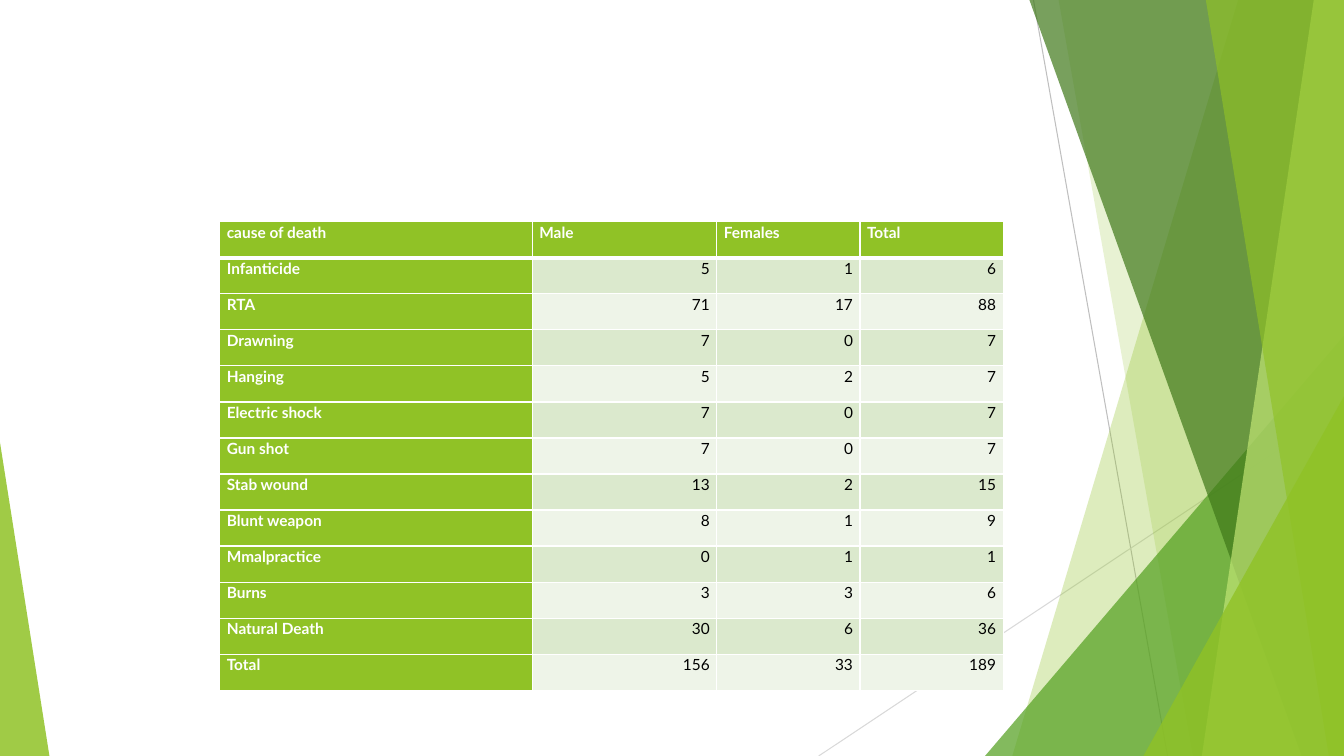
from dataclasses import dataclass
from lxml.etree import SubElement
from pptx import Presentation
from pptx.dml.color import RGBColor
from pptx.enum.shapes import MSO_CONNECTOR, MSO_SHAPE
from pptx.enum.text import MSO_ANCHOR, PP_ALIGN
from pptx.oxml.ns import qn
from pptx.util import Inches, Pt


@dataclass(frozen=True)
class Theme:
    font: str = "Lato"
    size: float = 11
    lime: str = "90C226"
    green: str = "54A021"
    forest: str = "3F7819"
    pale: str = "C0E474"
    white: str = "FFFFFF"
    black: str = "000000"
    grey: str = "BFBFBF"
    light_grey: str = "D9D9D9"
    bands: tuple = ("DBE9CD", "EEF4E8")


@dataclass(frozen=True)
class Box:
    left: float
    top: float
    width: float
    height: float

    @property
    def right(self):
        return self.left + self.width

    @property
    def bottom(self):
        return self.top + self.height


THEME = Theme()
SLIDE = Box(0, 0, 13.33, 7.5)
TABLE = Box(2.18, 2.2, 7.77, 4.65)
COLUMN_WIDTHS = (3.1, 1.83, 1.42, 1.42)
DEATHS = [
    ("cause of death", "Male", "Females", "Total"),
    ("Infanticide", 5, 1, 6),
    ("RTA", 71, 17, 88),
    ("Drawning", 7, 0, 7),
    ("Hanging", 5, 2, 7),
    ("Electric shock", 7, 0, 7),
    ("Gun shot", 7, 0, 7),
    ("Stab wound", 13, 2, 15),
    ("Blunt weapon", 8, 1, 9),
    ("Mmalpractice", 0, 1, 1),
    ("Burns", 3, 3, 6),
    ("Natural Death", 30, 6, 36),
    ("Total", 156, 33, 189),
]
# Insets from the right edge at top and bottom, colour, opacity
BACK_FACETS = [(1.05, 3.29, THEME.lime, 30), (2.83, 1.5, THEME.lime, 20)]
FRONT_FACETS = [(3.12, 0.42, THEME.forest, 70), (0.3, 1.41, THEME.pale, 70),
                (1.37, 0.15, THEME.lime, 65)]


def set_all(obj, values):
    for name, value in values.items():
        setattr(obj, name, value)


def paint(sp, color, opacity):
    sp.shadow.inherit = False
    sp.line.fill.background()
    sp.fill.solid()
    sp.fill.fore_color.rgb = RGBColor.from_string(color)
    clr = sp.fill._xPr.find(qn("a:solidFill"))[0]
    SubElement(clr, qn("a:alpha"), val=str(opacity * 1000))


def add_line(slide, start, end, color):
    line = slide.shapes.add_connector(
        MSO_CONNECTOR.STRAIGHT, *(Inches(v) for v in start + end))
    line.line.width = Pt(0.75)
    line.line.color.rgb = RGBColor.from_string(color)
    SubElement(line._element.spPr, qn("a:effectLst"))


def add_facet(slide, box, top_inset, bottom_inset, color, opacity):
    """Draw a full-height band between a slanted edge and the box's right edge."""
    corners = [(box.right - top_inset, box.top), (box.right, box.top),
               (box.right, box.bottom), (box.right - bottom_inset, box.bottom)]
    points = [(Inches(x), Inches(y)) for x, y in corners]
    builder = slide.shapes.build_freeform(*points[0], scale=1)
    builder.add_line_segments(points[1:], close=True)
    paint(builder.convert_to_shape(), color, opacity)


def add_corner(slide, box, width, height, apex, color, opacity):
    """Draw a right triangle in a bottom corner; apex is 0 for left, 1 for right."""
    left = box.left + apex * (box.width - width)
    sp = slide.shapes.add_shape(
        MSO_SHAPE.ISOSCELES_TRIANGLE, Inches(left), Inches(box.bottom - height),
        Inches(width), Inches(height))
    sp.adjustments[0] = apex
    paint(sp, color, opacity)


def add_backdrop(slide, box):
    add_line(slide, (box.right - 3.08, box.top), (box.right - 1.75, box.bottom), THEME.grey)
    add_line(slide, (box.right, box.bottom - 3.47), (box.right - 5.21, box.bottom),
             THEME.light_grey)
    for facet in BACK_FACETS:
        add_facet(slide, box, *facet)
    add_corner(slide, box, 3.56, 4.17, 1, THEME.green, 72)
    for facet in FRONT_FACETS:
        add_facet(slide, box, *facet)
    add_corner(slide, box, 1.99, 3.57, 1, THEME.lime, 80)
    add_corner(slide, box, 0.49, 3.11, 0, THEME.lime, 85)


def set_borders(cell, widths):
    """Add white borders before the fill, as the cell schema requires."""
    tcPr = cell._tc.get_or_add_tcPr()
    for i, (side, width) in enumerate(widths.items()):
        ln = tcPr.makeelement(qn(f"a:ln{side}"), {"w": str(Pt(width))})
        fill = SubElement(ln, qn("a:solidFill"))
        SubElement(fill, qn("a:srgbClr"), val=THEME.white)
        tcPr.insert(i, ln)


def fill_cell(cell, value, row, col):
    heading = row == 0 or col == 0
    fill = THEME.lime if heading else THEME.bands[(row - 1) % 2]
    cell.fill.solid()
    cell.fill.fore_color.rgb = RGBColor.from_string(fill)
    set_all(cell, {"margin_left": Inches(0.07), "margin_right": Inches(0.07),
                   "margin_top": 0, "margin_bottom": 0,
                   "vertical_anchor": MSO_ANCHOR.TOP})
    set_borders(cell, {"L": 1, "R": 1, "T": 3 if row == 1 else 1,
                       "B": 3 if row == 0 else 1})
    p = cell.text_frame.paragraphs[0]
    set_all(p, {"alignment": PP_ALIGN.LEFT if heading else PP_ALIGN.RIGHT,
                "line_spacing": 1.07, "space_after": Pt(8)})
    r = p.add_run()
    r.text = str(value)
    set_all(r.font, {"name": THEME.font, "size": Pt(THEME.size), "bold": heading})
    r.font.color.rgb = RGBColor.from_string(THEME.white if heading else THEME.black)


def add_deaths_table(slide, box):
    table = slide.shapes.add_table(
        len(DEATHS), len(COLUMN_WIDTHS), Inches(box.left), Inches(box.top),
        Inches(box.width), Inches(box.height)).table
    for column, width in zip(table.columns, COLUMN_WIDTHS):
        column.width = Inches(width)
    for row, values in enumerate(DEATHS):
        for col, value in enumerate(values):
            fill_cell(table.cell(row, col), value, row, col)


def main():
    prs = Presentation()
    set_all(prs, {"slide_width": Inches(SLIDE.width), "slide_height": Inches(SLIDE.height)})
    slide = prs.slides.add_slide(prs.slide_layouts.get_by_name("Blank"))
    add_backdrop(slide, SLIDE)
    add_deaths_table(slide, TABLE)
    prs.save("out.pptx")


if __name__ == "__main__":
    main()
